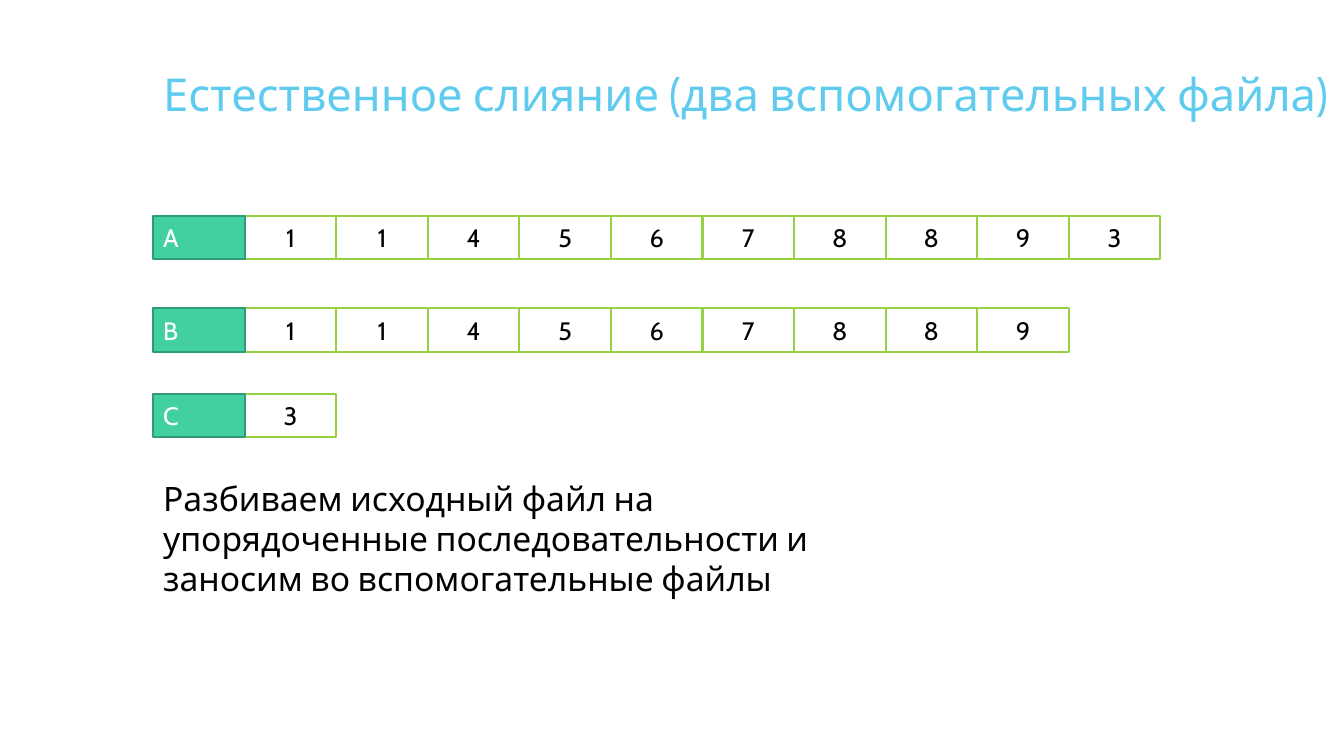
"""Slide on natural merge sort: file A is split into helper files B and C."""
from pptx import Presentation
from pptx.dml.color import RGBColor
from pptx.enum.shapes import MSO_SHAPE
from pptx.enum.text import MSO_ANCHOR, PP_ALIGN
from pptx.util import Inches, Pt

COLORS = {"title": "5FCBEF", "text": "000000", "white": "FFFFFF",
          "cell_line": "96D141", "label": "42D0A2", "label_line": "319A78"}
LEFT, COL, ROW = 1.52, 9.08 / 10, 0.43
FILES = [("A", 2.14, "1145678893"), ("B", 3.06, "114567889"), ("C", 3.91, "3")]
TEXTS = [
    ("Естественное слияние (два вспомогательных файла)", 0.61, 12.06, 0.97, 32.4, "title"),
    ("Разбиваем исходный файл на упорядоченные последовательности "
     "и заносим во вспомогательные файлы", 4.69, 7, 1.31, 24, "text"),
]


def write(sp, text, size, color, align, anchor):
    tf = sp.text_frame
    tf.word_wrap = True
    tf.vertical_anchor = anchor
    p = tf.paragraphs[0]
    p.alignment = align
    r = p.add_run()
    r.text = text
    for name, value in {"name": "Cabin", "size": Pt(size)}.items():
        setattr(r.font, name, value)
    r.font.color.rgb = RGBColor.from_string(COLORS[color])


def add_cell(s, col, top, text, fill, line, color, align):
    sp = s.shapes.add_shape(MSO_SHAPE.RECTANGLE, Inches(LEFT + col * COL),
                            Inches(top), Inches(COL), Inches(ROW))
    sp.shadow.inherit = False
    sp.fill.solid()
    sp.fill.fore_color.rgb = RGBColor.from_string(COLORS[fill])
    sp.line.color.rgb = RGBColor.from_string(COLORS[line])
    sp.line.width = Pt(1.5)
    write(sp, text, 18, color, align, MSO_ANCHOR.MIDDLE)


prs = Presentation()
prs.slide_width, prs.slide_height = Inches(13.33), Inches(7.5)
s = prs.slides.add_slide(prs.slide_layouts[6])

for label, top, values in FILES:
    for col, value in enumerate(values, start=1):
        add_cell(s, col, top, value, "white", "cell_line", "text", PP_ALIGN.CENTER)
    add_cell(s, 0, top, label, "label", "label_line", "white", PP_ALIGN.LEFT)

for text, top, width, height, size, color in TEXTS:
    sp = s.shapes.add_textbox(Inches(LEFT), Inches(top), Inches(width), Inches(height))
    write(sp, text, size, color, PP_ALIGN.LEFT, MSO_ANCHOR.TOP)

prs.save("out.pptx")
